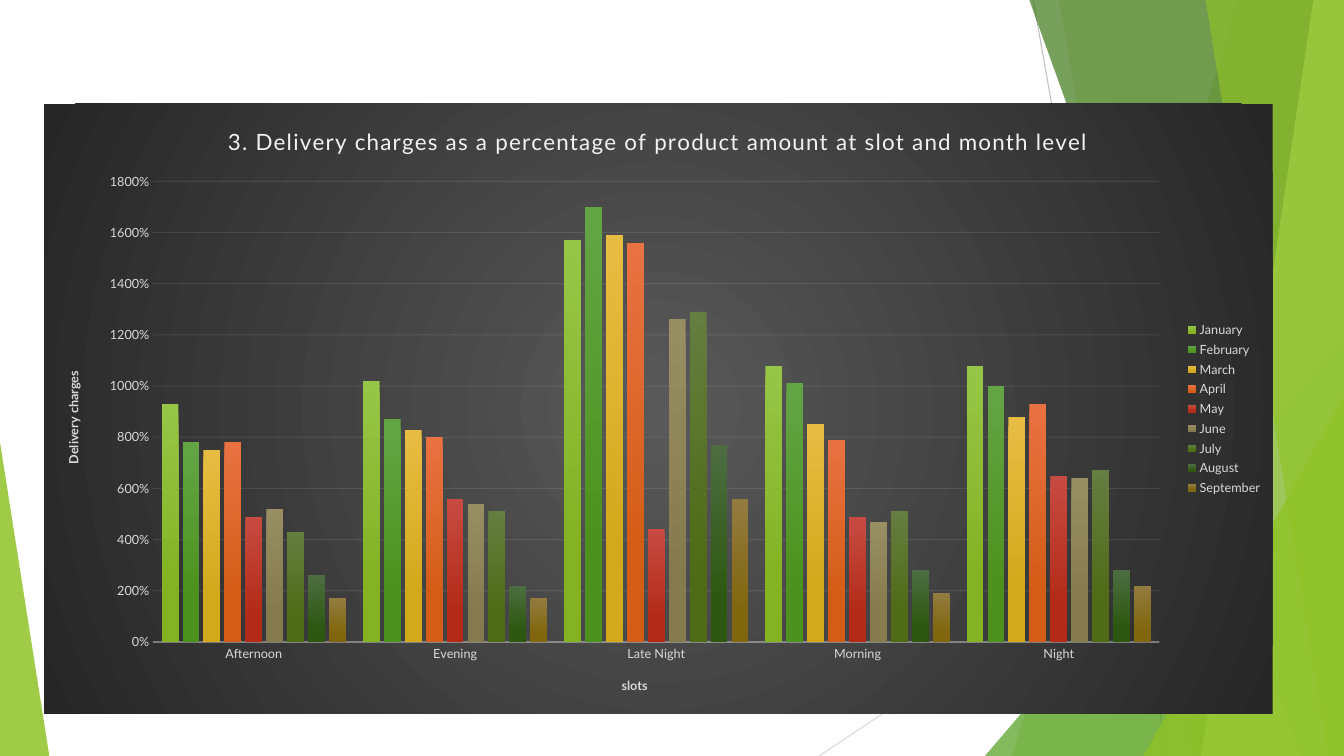
from dataclasses import dataclass

from lxml import etree
from pptx import Presentation
from pptx import util as u
from pptx.chart.data import CategoryChartData
from pptx.dml.color import RGBColor
from pptx.enum import chart as charts, shapes
from pptx.oxml import parse_xml
from pptx.oxml.ns import nsdecls, qn

PX = 9525
WIDTH, HEIGHT = 1280, 720


@dataclass(frozen=True)
class Theme:
    font: str = "Lato"
    lime: str = "90C226"
    green: str = "54A021"
    forest: str = "3F7819"
    pale: str = "C0E474"
    rule_dark: str = "BFBFBF"
    rule_light: str = "D9D9D9"
    label: str = "D9D9D9"
    heading: str = "F2F2F2"
    base_text: str = "000000"
    panel_inner: str = "595959"
    panel_outer: str = "262626"
    heading_size: int = 16
    base_size: int = 10
    label_size: int = 9


THEME = Theme()

SLOTS = ["Afternoon", "Evening", "Late Night", "Morning", "Night"]
MONTHS = [
    ("January", "97C547", "84B223", (9.3, 10.2, 15.7, 10.8, 10.8)),
    ("February", "63A545", "4D921E", (7.8, 8.7, 17, 10.1, 10)),
    ("March", "E7BC43", "D2A91B", (7.5, 8.3, 15.9, 8.5, 8.8)),
    ("April", "E87242", "D35D16", (7.8, 8, 15.6, 7.9, 9.3)),
    ("May", "C74B42", "B32B18", (4.9, 5.6, 4.4, 4.9, 6.5)),
    ("June", "988E64", "857B4E", (5.2, 5.4, 12.6, 4.7, 6.4)),
    ("July", "657E41", "4F6B15", (4.3, 5.1, 12.9, 5.1, 6.7)),
    ("August", "4D6D41", "2E5812", (2.6, 2.2, 7.7, 2.8, 2.8)),
    ("September", "937B40", "80670E", (1.7, 1.7, 5.6, 1.9, 2.2)),
]


def rgb(value):
    return RGBColor.from_string(value)


def set_opacity(element, percent):
    for color in element.iter(qn("a:srgbClr")):
        etree.SubElement(color, qn("a:alpha")).set("val", str(percent * 1000))


def style_font(font, size, color, bold=False):
    font.name = THEME.font
    font.size = u.Pt(size)
    font.bold = bold
    font.color.rgb = rgb(color)


def add_rule(page, start, end, color):
    ends = [value * PX for value in (*start, *end)]
    rule = page.shapes.add_connector(shapes.MSO_CONNECTOR.STRAIGHT, *ends)
    rule.line.color.rgb = rgb(color)
    rule.line.width = u.Pt(0.75)
    etree.SubElement(rule._element.spPr, qn("a:effectLst"))


def paint(shape, color, opacity):
    shape.shadow.inherit = False
    shape.fill.solid()
    shape.fill.fore_color.rgb = rgb(color)
    set_opacity(shape._element.spPr, opacity)
    shape.line.fill.background()


def add_facet(page, top_x, bottom_x, color, opacity):
    builder = page.shapes.build_freeform(top_x, -1, scale=PX)
    builder.add_line_segments([(WIDTH, -1), (WIDTH, HEIGHT), (bottom_x, HEIGHT)])
    paint(builder.convert_to_shape(), color, opacity)


def add_corner(page, left, top, width, apex, color, opacity):
    frame = [value * PX for value in (left, top, width, HEIGHT - top)]
    corner = page.shapes.add_shape(shapes.MSO_SHAPE.ISOSCELES_TRIANGLE, *frame)
    corner.adjustments[0] = apex
    paint(corner, color, opacity)


def add_backdrop(page):
    add_rule(page, (984, 0), (1112, HEIGHT), THEME.rule_dark)
    add_rule(page, (WIDTH, 387), (780, HEIGHT), THEME.rule_light)
    add_facet(page, 1179, 964, THEME.lime, 30)
    add_facet(page, 1008, 1136, THEME.lime, 20)
    add_corner(page, 938, 320, 342, 1, THEME.green, 72)
    add_facet(page, 980, 1239, THEME.forest, 70)
    add_facet(page, 1251, 1144, THEME.pale, 70)
    add_facet(page, 1148, 1265, THEME.lime, 65)
    add_corner(page, 1089, 377, 191, 1, THEME.lime, 80)
    add_corner(page, 0, 421, 47, 0, THEME.lime, 85)


def write_title(owner, words, size, color, bold=False):
    owner.has_title = True
    para = (owner.chart_title if hasattr(owner, "chart_title")
            else owner.axis_title).text_frame.paragraphs[0]
    span = para.add_run()
    span.text = words
    style_font(span.font, size, color, bold)
    return span


def style_axis(axis, title):
    axis.major_tick_mark = charts.XL_TICK_MARK.NONE
    axis.minor_tick_mark = charts.XL_TICK_MARK.NONE
    style_font(axis.tick_labels.font, THEME.label_size, THEME.label)
    write_title(axis, title, THEME.label_size, THEME.label, bold=True)


def style_line(line, element, width, opacity):
    line.color.rgb = rgb(THEME.heading)
    line.width = u.Pt(width)
    set_opacity(element, opacity)


def fill_panel(chart):
    panel = parse_xml(
        f'<c:spPr {nsdecls("c", "a")}><a:gradFill><a:gsLst>'
        f'<a:gs pos="0"><a:srgbClr val="{THEME.panel_inner}"/></a:gs>'
        f'<a:gs pos="100000"><a:srgbClr val="{THEME.panel_outer}"/></a:gs>'
        '</a:gsLst><a:path path="circle">'
        '<a:fillToRect l="50000" t="50000" r="50000" b="50000"/></a:path>'
        '</a:gradFill><a:ln><a:noFill/></a:ln></c:spPr>')
    chart.element.find(qn("c:chart")).addnext(panel)


def fill_column(series, top, bottom):
    fill = series.format.fill
    fill.gradient()
    fill.gradient_angle = 270
    for stop, color, position in zip(fill.gradient_stops, (top, bottom), (0, 0.78)):
        stop.color.rgb = rgb(color)
        stop.position = position


def add_charges_chart(page):
    data = CategoryChartData(number_format="0%")
    data.categories = SLOTS
    for month, _, _, charges in MONTHS:
        data.add_series(month, charges)
    frame = [value * PX for value in (42, 99, 1170, 581)]
    chart = page.shapes.add_chart(
        charts.XL_CHART_TYPE.COLUMN_CLUSTERED, *frame, data).chart
    style_font(chart.font, THEME.base_size, THEME.base_text)
    fill_panel(chart)

    heading = write_title(
        chart,
        "3. Delivery charges as a percentage of product amount at slot and month level",
        THEME.heading_size, THEME.heading)
    heading.font._element.set("spc", "100")
    chart.chart_title.include_in_layout = False

    plot = chart.plots[0]
    plot.gap_width = 100
    plot.overlap = -24
    plot.vary_by_categories = False
    for series, (_, top, bottom, _) in zip(plot.series, MONTHS):
        fill_column(series, top, bottom)

    slots = chart.category_axis
    style_axis(slots, "slots")
    style_line(slots.format.line, slots._element.find(qn("c:spPr")), 1, 54)

    charges = chart.value_axis
    style_axis(charges, "Delivery charges")
    charges.minimum_scale, charges.maximum_scale, charges.major_unit = 0, 18, 2
    charges.tick_labels.number_format = "0%"
    charges.tick_labels.number_format_is_linked = False
    charges.format.line.fill.background()
    style_line(charges.major_gridlines.format.line,
               charges._element.find(qn("c:majorGridlines")), 0.75, 10)

    chart.has_legend = True
    chart.legend.position = charts.XL_LEGEND_POSITION.RIGHT
    chart.legend.include_in_layout = False
    style_font(chart.legend.font, THEME.label_size, THEME.label)


def main():
    deck = Presentation()
    deck.slide_width, deck.slide_height = WIDTH * PX, HEIGHT * PX
    page = deck.slides.add_slide(deck.slide_layouts[6])
    add_backdrop(page)
    add_charges_chart(page)
    deck.save("out.pptx")


if __name__ == "__main__":
    main()
